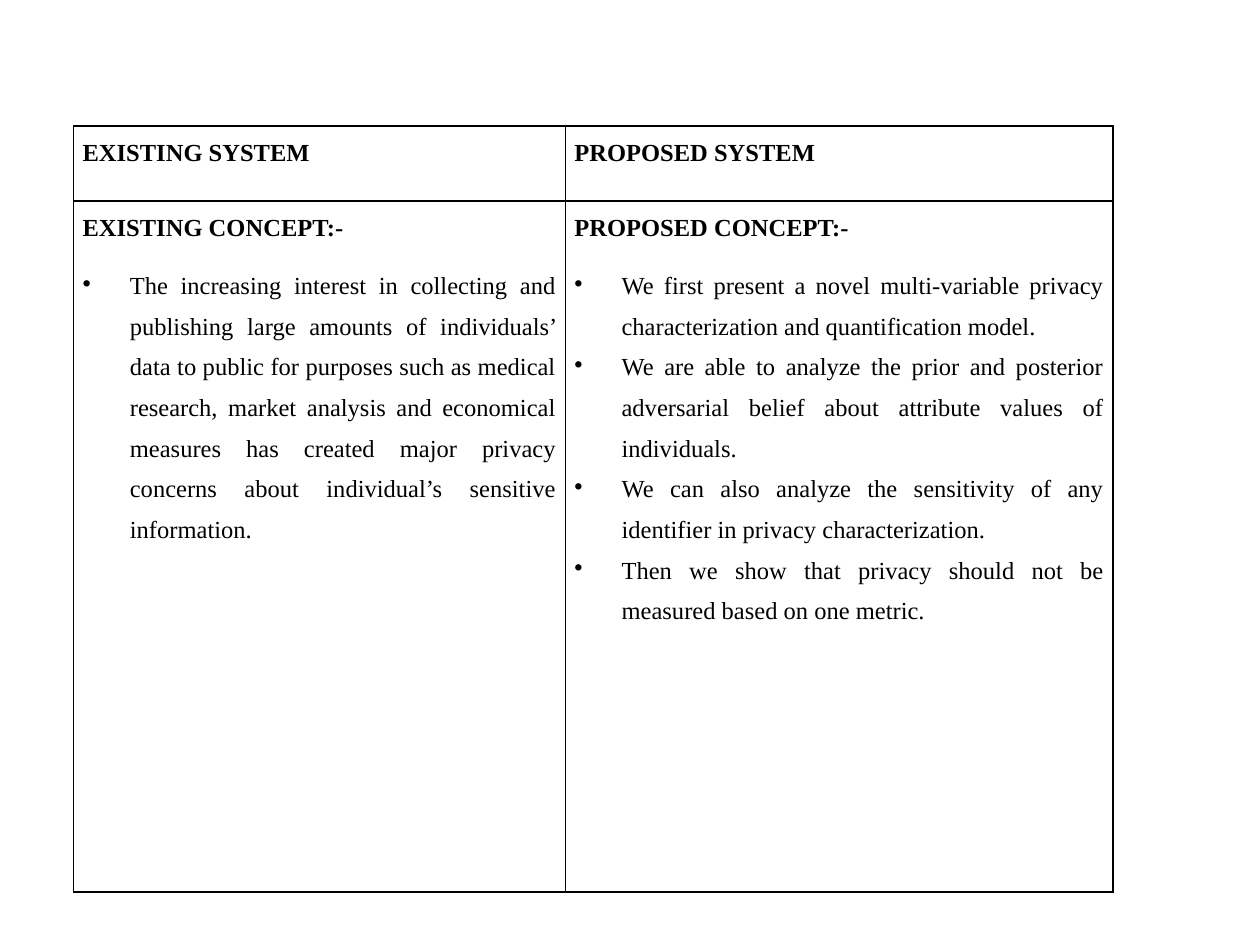
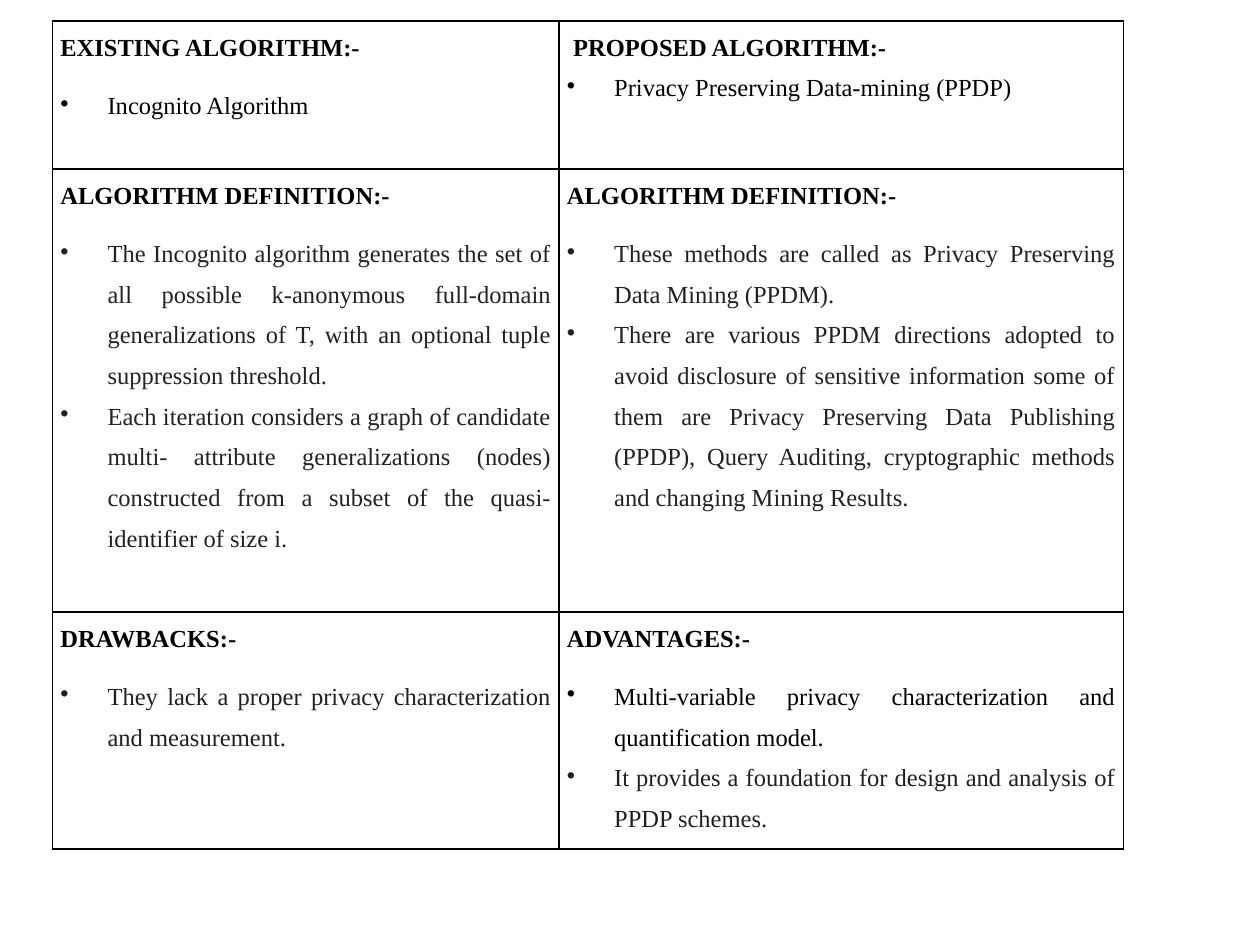
"""Two slides comparing an existing and a proposed privacy system in tables."""
from lxml import etree
from pptx import Presentation
from pptx.dml.color import RGBColor
from pptx.enum import text
from pptx.oxml import ns
from pptx.util import Pt

FONT, SIZE = "Times New Roman", 14
BLACK, GREY, SOFT = "000000", "222222", "231F20"
HANG = 27
TITLE_ROW = dict(before=6, after=6)
TIGHT = dict(left=3.6, after=0)

SLIDES = [
    dict(
        left=42, top=72, cols=[281, 313], heights=[43, 394.7], inset=5.2,
        rows=[
            [("EXISTING SYSTEM", TITLE_ROW, []),
             ("PROPOSED SYSTEM", TITLE_ROW, [])],
            [("EXISTING CONCEPT:-", {}, [
                ("The increasing interest in collecting and publishing large amounts of "
                 "individuals’ data to public for purposes such as medical research, market "
                 "analysis and economical measures has created major privacy concerns about "
                 "individual’s sensitive information.", {})]),
             ("PROPOSED CONCEPT:-", {}, [
                 ("We first present a novel multi-variable privacy characterization and "
                  "quantification model.", {}),
                 ("We are able to analyze the prior and posterior adversarial belief about "
                  "attribute values of individuals.", {}),
                 ("We can also analyze the sensitivity of any identifier in privacy "
                  "characterization.", {}),
                 ("Then we show that privacy should not be measured based on one metric.", {})])],
        ]),
    dict(
        left=30, top=12, cols=[289.5, 322.5], heights=[84.7, 253, 135.4], inset=4.5,
        rows=[
            [("EXISTING ALGORITHM:-", {}, [("Incognito Algorithm", {})]),
             ("PROPOSED ALGORITHM:-", TIGHT, [
                 ("Privacy Preserving Data-mining (PPDP)", dict(after=10))])],
            [("ALGORITHM DEFINITION:-", {}, [
                ("The Incognito algorithm generates the set of all possible k-anonymous "
                 "full-domain generalizations of T, with an optional tuple suppression "
                 "threshold.", dict(color=GREY)),
                ("Each iteration considers a graph of candidate multi- attribute "
                 "generalizations (nodes) constructed from a subset of the quasi-identifier "
                 "of size i.", dict(color=GREY))]),
             ("ALGORITHM DEFINITION:-", {}, [
                 ("These methods are called as Privacy Preserving Data Mining (PPDM).",
                  dict(color=GREY)),
                 ("There are various PPDM directions adopted to avoid disclosure of sensitive "
                  "information some of them are Privacy Preserving Data Publishing (PPDP), "
                  "Query Auditing, cryptographic methods and changing Mining Results.",
                  dict(color=GREY))])],
            [("DRAWBACKS:-", {}, [
                ("They lack a proper privacy characterization and measurement.",
                 dict(color=SOFT))]),
             ("ADVANTAGES:-", {}, [
                 ("Multi-variable privacy characterization and quantification model.", {}),
                 ("It provides a foundation for design and analysis of PPDP schemes.",
                  dict(color=SOFT))])],
        ]),
]


def rgb(value):
    return RGBColor.from_string(value)


def write(p, words, color=BLACK, bold=False, bullet=False, left=0, before=0, after=0):
    p.alignment = text.PP_ALIGN.JUSTIFY
    p.line_spacing = 1.5
    p.space_before, p.space_after = Pt(before), Pt(after)
    pPr = p._p.get_or_add_pPr()
    pPr.set("marL", str(Pt(HANG if bullet else left)))
    pPr.set("indent", str(Pt(-HANG if bullet else 0)))
    if bullet:
        etree.SubElement(pPr, ns.qn("a:buChar"), char="•")
    r = p.add_run()
    r.text = words
    r.font.name, r.font.size, r.font.bold = FONT, Pt(SIZE), bold
    r.font.color.rgb = rgb(color)


def add_borders(cell):
    tcPr = cell._tc.get_or_add_tcPr()
    for i, side in enumerate(("lnL", "lnR", "lnT", "lnB")):
        ln = etree.Element(ns.qn("a:" + side), w=str(Pt(1)))
        fill = etree.SubElement(ln, ns.qn("a:solidFill"))
        etree.SubElement(fill, ns.qn("a:srgbClr"), val=BLACK)
        tcPr.insert(i, ln)


def fill_cell(cell, inset, heading, style, bullets):
    cell.fill.background()
    cell.margin_left = cell.margin_right = Pt(inset)
    cell.margin_top = cell.margin_bottom = Pt(0)
    add_borders(cell)
    tf = cell.text_frame
    write(tf.paragraphs[0], heading, **{"bold": True, "after": 10, **style})
    for words, look in bullets:
        write(tf.add_paragraph(), words, bullet=True, **look)


def add_comparison(s, left, top, cols, heights, inset, rows):
    frame = s.shapes.add_table(len(rows), len(cols), Pt(left), Pt(top),
                               Pt(sum(cols)), Pt(sum(heights)))
    table = frame.table
    table.first_row = table.horz_banding = False
    for column, width in zip(table.columns, cols):
        column.width = Pt(width)
    for row, height, entries in zip(table.rows, heights, rows):
        row.height = Pt(height)
        for cell, entry in zip(row.cells, entries):
            fill_cell(cell, inset, *entry)


def main():
    prs = Presentation()
    prs.slide_width, prs.slide_height = Pt(720), Pt(540)
    for content in SLIDES:
        add_comparison(prs.slides.add_slide(prs.slide_layouts[6]), **content)
    prs.save("out.pptx")


if __name__ == "__main__":
    main()
